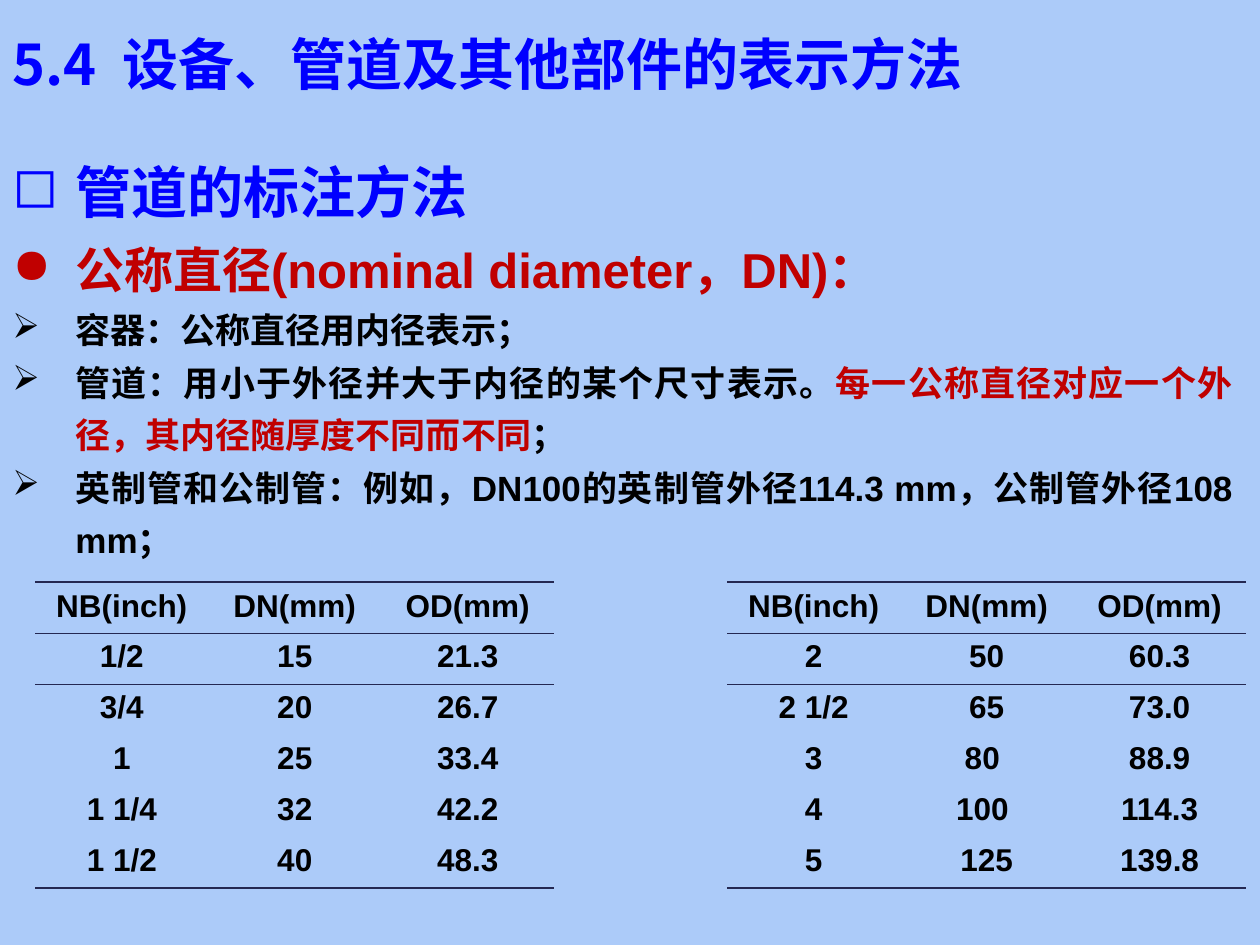
import dataclasses

import pptx
import pptx.dml.color
import pptx.enum.text
import pptx.oxml
import pptx.oxml.ns
import pptx.util

Inches = pptx.util.Inches
Pt = pptx.util.Pt
qn = pptx.oxml.ns.qn
Align = pptx.enum.text.PP_ALIGN
Anchor = pptx.enum.text.MSO_ANCHOR

COLORS = {"back": "ACCBF9", "blue": "0000FF", "red": "C00000",
          "black": "000000", "rule": "242852"}
LATIN, HAN = "Arial", "Noto Sans CJK SC"
NO_STYLE = "{2D5ABB26-0587-4C30-8999-92F81FD0307C}"


@dataclasses.dataclass
class Run:
    text: str
    color: str = "black"


@dataclasses.dataclass
class Item:
    mark: str
    size: int
    runs: list[Run]


ITEMS = [
    Item("◻", 32, [Run("管道的标注方法", "blue")]),
    Item("●", 28, [Run("公称直径(nominal diameter，DN)：", "red")]),
    Item("➢", 20, [Run("容器：公称直径用内径表示；")]),
    Item("➢", 20, [Run("管道：用小于外径并大于内径的某个尺寸表示。"),
                   Run("每一公称直径对应一个外径，其内径随厚度不同而不同", "red"),
                   Run("；")]),
    Item("➢", 20, [Run("英制管和公制管：例如，DN100的英制管外径114.3 mm，"
                       "公制管外径108 mm；")]),
]

HEAD = ["NB(inch)", "DN(mm)", "OD(mm)"]
PIPES = [  # left block, gap column, right block
    [*HEAD, "", *HEAD],
    ["1/2", "15", "21.3", "", "2", "50", "60.3"],
    ["3/4", "20", "26.7", "", "2 1/2", "65", "73.0"],
    ["1", "25", "33.4", "", "3", "80 ", "88.9"],
    ["1 1/4", "32", "42.2", "", "4", "100 ", "114.3"],
    ["1 1/2", "40", "48.3", "", "5", "125", "139.8"],
]


def rgb(name: str) -> pptx.dml.color.RGBColor:
    return pptx.dml.color.RGBColor.from_string(COLORS[name])


def apply(target, form: dict) -> None:
    for name, value in form.items():
        setattr(target, name, value)


def add_run(para, run: Run, size: int, latin: str = LATIN) -> None:
    part = para.add_run()
    part.text = run.text
    apply(part.font, {"size": Pt(size), "bold": True, "name": latin})
    part.font.color.rgb = rgb(run.color)
    face = pptx.oxml.parse_xml(
        f'<a:ea {pptx.oxml.ns.nsdecls("a")} typeface="{HAN}"/>')
    part.font._element.find(qn("a:latin")).addnext(face)


def add_mark(para, mark: str) -> None:
    """Give the paragraph a hanging bullet."""
    props = para._p.get_or_add_pPr()
    props.set("marL", str(Inches(0.5)))
    props.set("indent", str(Inches(-0.5)))
    props.append(pptx.oxml.parse_xml(
        f'<a:buChar {pptx.oxml.ns.nsdecls("a")} char="{mark}"/>'))


def add_box(slide, left: float, top: float, width: float, height: float,
            anchor: Anchor):
    box = slide.shapes.add_textbox(Inches(left), Inches(top),
                                   Inches(width), Inches(height))
    apply(box.text_frame, {"word_wrap": True, "vertical_anchor": anchor})
    return box.text_frame


def add_list(slide, items: list[Item]) -> None:
    frame = add_box(slide, 0, 1.07, 9.88, 3.43, Anchor.TOP)
    for index, item in enumerate(items):
        para = frame.add_paragraph() if index else frame.paragraphs[0]
        apply(para, {"alignment": Align.JUSTIFY, "line_spacing": 1.25})
        add_mark(para, item.mark)
        for run in item.runs:
            add_run(para, run, item.size)


def set_rules(cell, rules: dict[str, float]) -> None:
    """Draw cell borders; rules maps a side tag to a width in points."""
    props = cell._tc.get_or_add_tcPr()
    for place, (side, width) in enumerate(rules.items()):
        props.insert(place, pptx.oxml.parse_xml(
            f'<a:{side} {pptx.oxml.ns.nsdecls("a")} w="{Pt(width)}"><a:solidFill>'
            f'<a:srgbClr val="{COLORS["rule"]}"/></a:solidFill></a:{side}>'))


def add_grid(slide, rows: list[list[str]]) -> None:
    last = len(rows) - 1
    rules = {0: {"lnT": 1.5, "lnB": 0.5}, 1: {"lnT": 0.5}, last: {"lnB": 1.5}}
    frame = slide.shapes.add_table(len(rows), len(rows[0]), Inches(0.28),
                                   Inches(4.62), Inches(9.61), Inches(2.43))
    frame.element.find(".//" + qn("a:tableStyleId")).text = NO_STYLE
    grid = frame.table
    apply(grid, {"first_row": False, "horz_banding": False})
    for i, row in enumerate(rows):
        for j, text in enumerate(row):
            cell = grid.cell(i, j)
            cell.fill.background()
            if text:
                para = cell.text_frame.paragraphs[0]
                para.alignment = Align.CENTER
                add_run(para, Run(text), 18)
                set_rules(cell, rules.get(i, {}))


def main() -> None:
    deck = pptx.Presentation()
    apply(deck, {"slide_width": Inches(10), "slide_height": Inches(7.5)})
    slide = deck.slides.add_slide(deck.slide_layouts[6])
    slide.background.fill.solid()
    slide.background.fill.fore_color.rgb = rgb("back")
    title = add_box(slide, 0, 0.13, 10, 0.74, Anchor.MIDDLE)
    add_run(title.paragraphs[0],
            Run("5.4  设备、管道及其他部件的表示方法", "blue"), 32, HAN)
    add_list(slide, ITEMS)
    add_grid(slide, PIPES)
    deck.save("out.pptx")


if __name__ == "__main__":
    main()
